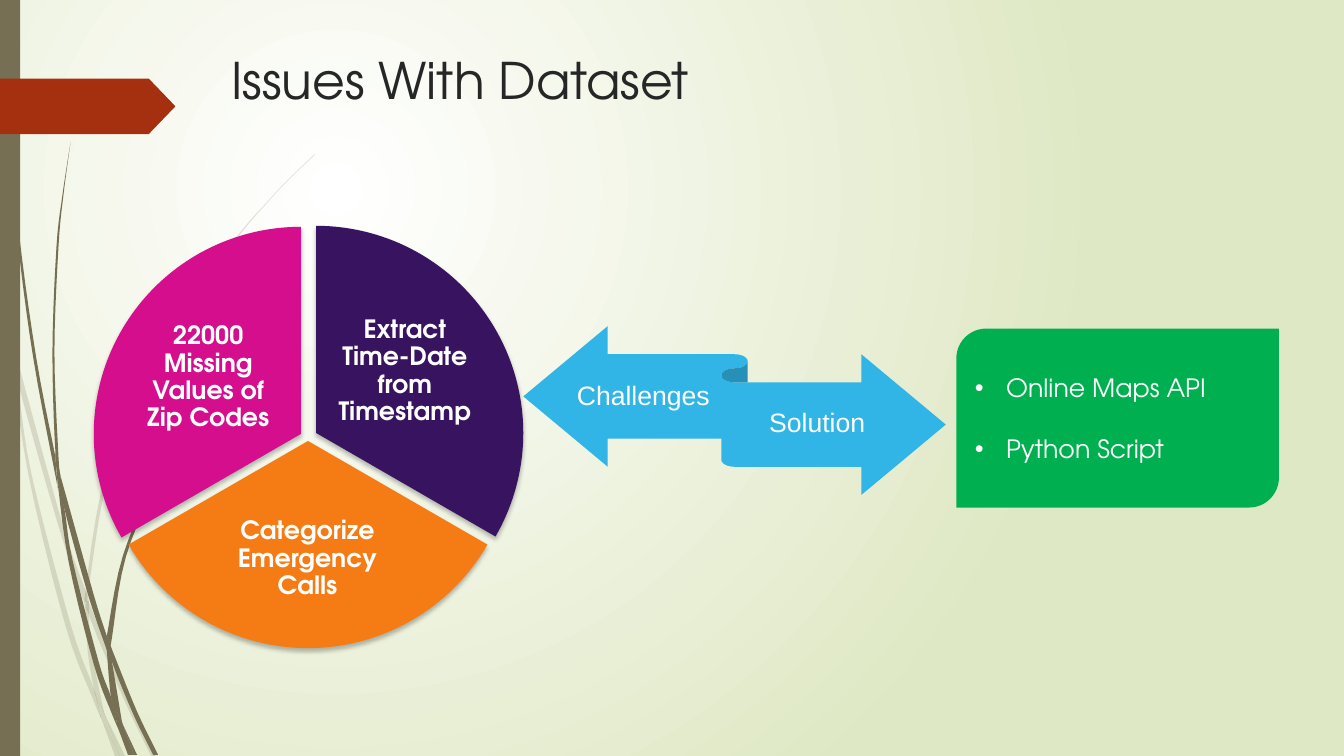
import dataclasses
import typing

import lxml.etree
import pptx
import pptx.dml.color
import pptx.enum.shapes
import pptx.enum.text
import pptx.oxml.ns
import pptx.util

KIND = pptx.enum.shapes.MSO_SHAPE
ALIGN = pptx.enum.text.PP_ALIGN
ANCHOR = pptx.enum.text.MSO_ANCHOR
qn = pptx.oxml.ns.qn
Pt = pptx.util.Pt

WIDE, HIGH = pptx.util.Inches(13.33), pptx.util.Inches(7.5)
COLS, ROWS = 133.3, 75
HEAD, PLAIN = "TeX Gyre Adventor", "Arial"
CENTRED = {"alignment": ALIGN.CENTER, "line_spacing": 0.9}
HEX = {
    "white": "FFFFFF", "sage": "DFE8C4", "olive": "766F54", "rust": "A53010",
    "ink": "262626", "plum": "381460", "orange": "F57C14", "pink": "D40E8C",
    "sky": "31B4E6", "green": "00B050",
}
Point = tuple[float, float]
Box = tuple[float, float, float, float]


@dataclasses.dataclass
class Blade:
    """A piece of grass between two edges, each running from top to bottom."""
    left: list[Point]
    right: list[Point]


@dataclasses.dataclass
class Slice:
    box: Box
    turn: tuple[int, int]
    fill: str
    words: str
    label: Box


FAINT = [
    Blade([(0, 29.9), (1, 34.4), (1.1, 35)], [(0, 28.2), (0.9, 32.2), (1.1, 35)]),
    Blade([(1.4, 34.5), (1.7, 37.6), (5.8, 52.2), (8.4, 59.9)],
          [(1.4, 34.5), (6.2, 52), (8.5, 58.6)]),
    Blade([(8.8, 59.6), (8.8, 61), (12.3, 69.4), (15, 75)],
          [(8.8, 59.6), (9.2, 60.7), (12.7, 69.2), (15.5, 75)]),
    Blade([(10.5, 71.1), (11.9, 75)], [(10.5, 71.1), (12.4, 75)]),
    Blade([(1.1, 35), (2.8, 47), (6.5, 62.1), (9.2, 69.3), (10.1, 71.4)],
          [(1.1, 35), (1.7, 37.6), (3.1, 46.9), (7, 61.9), (9.3, 68.3), (9.9, 70.7)]),
    Blade([(8.4, 59.9), (8.7, 64.6), (9.3, 68.3), (9.6, 69.2), (10.5, 71.1)],
          [(8.4, 59.9), (8.8, 60.8), (8.8, 61), (9.1, 64.6), (10.3, 70.6)]),
    Blade([(31.2, 15.3), (28.9, 17.5), (26.8, 19.7), (22.8, 24.4), (15.8, 34.8), (10.7, 46.1),
           (8.5, 58.4), (8.8, 59.6)],
          [(31.2, 15.4), (29, 17.5), (26.8, 19.8), (22.9, 24.5), (16, 34.9), (11, 46.2),
           (8.8, 58.4), (8.8, 59.6)]),
    Blade([(10.1, 71.4), (11.4, 75)], [(10.1, 71.4), (11.9, 75)]),
    Blade([(8.5, 58.6), (8.4, 59.9), (8.8, 60.8)], [(8.5, 58.6), (8.8, 59.6), (8.8, 61)]),
    Blade([(9.3, 68.3), (9.9, 70.7), (10.1, 71.4), (11.9, 75)],
          [(9.3, 68.3), (9.6, 69.2), (10.5, 71.1), (11.9, 75)]),
]
SOLID = [
    Blade([(0.3, 0), (0.4, 4.8), (0.7, 11), (1.7, 23.3), (3.3, 35.5), (5.6, 47.7), (5.7, 48.1)],
          [(0.4, 0), (0.5, 4.8), (0.8, 10.9), (1.9, 23.2), (3.6, 35.5), (5.5, 45.3)]),
    Blade([(6, 47.2), (6.4, 50.5), (8.8, 59.2), (10.6, 64.5)],
          [(6, 47.2), (9.3, 59), (10.6, 63.1)]),
    Blade([(11, 64.1), (11.1, 65.6), (13.2, 70.8), (15.2, 74.9)],
          [(11, 64.1), (11.3, 64.9), (13.6, 70.6), (15.7, 74.9)]),
    Blade([(5.7, 47.7), (6.8, 55.7), (9.3, 65.9), (11.1, 70.8), (11.7, 72.2)],
          [(5.7, 47.7), (6.4, 50.5), (7.2, 55.6), (9.8, 65.7), (11, 69.1), (11.6, 71.7)]),
    Blade([(7, 14.1), (6.2, 19.3), (5.6, 24.5), (5.2, 34.9), (5.5, 44.9), (6, 47.2)],
          [(7, 14.1), (6.3, 19.3), (5.8, 24.5), (5.4, 34.9), (5.8, 45.3), (6, 47.2)]),
    Blade([(12.2, 71.9), (13.3, 74.9)], [(12.2, 71.9), (13.6, 74.9)]),
    Blade([(5.5, 44.9), (5.5, 45.3), (5.7, 47.7)], [(5.5, 44.9), (6, 47.2), (6.4, 50.5)]),
    Blade([(26, 34.4), (23.1, 37.3), (20.4, 40.5), (15.6, 47.4), (12.2, 55.1), (10.6, 63.1)],
          [(26.1, 34.4), (23.1, 37.4), (20.5, 40.6), (15.8, 47.6), (12.5, 55.2), (11.1, 63.3),
           (11, 64.1)]),
    Blade([(11.7, 72.2), (12.7, 74.9)], [(11.7, 72.2), (13.1, 74.9)]),
    Blade([(10.6, 64.5), (11, 69.1), (11.6, 70.6), (12.2, 71.9)],
          [(10.6, 64.5), (10.9, 65.1), (11.1, 65.6), (12.1, 71.6)]),
    Blade([(10.6, 63.1), (10.6, 64.5), (10.9, 65.1)], [(10.6, 63.1), (11, 64.1), (11.1, 65.6)]),
    Blade([(11, 69.1), (11.6, 71.7), (11.7, 72.2), (13, 74.9)],
          [(11, 69.1), (11.6, 70.6), (12.2, 71.9), (13.3, 74.9)]),
]
SLICES = [
    Slice((10.8, 22.4, 41.1, 41.1), (162, 18), "plum",
          "Extract Time-Date from Timestamp", (33.2, 30, 13.9, 13.7)),
    Slice((10, 23.2, 41.1, 41.1), (18, 90), "orange",
          "Categorize Emergency Calls", (21.2, 49.1, 18.6, 12.7)),
    Slice((9.3, 22.5, 41.1, 41.1), (90, 162), "pink",
          "22000 Missing Values of Zip Codes", (13.7, 30.6, 13.9, 13.7)),
]
ARROWS = [("Challenges", (56.9, 35.3, 13.8, 8.2)), ("Solution", (72.9, 37.95, 16.3, 8.2))]
TOOLS = ["Online Maps API", "Python Script"]

deck = pptx.Presentation()
deck.slide_width, deck.slide_height = WIDE, HIGH
slide = deck.slides.add_slide(deck.slide_layouts[6])


def place(*cells: float) -> tuple[int, ...]:
    """Turn columns and rows, by turns, into slide lengths."""
    return tuple(round(cell * (HIGH / ROWS if index % 2 else WIDE / COLS))
                 for index, cell in enumerate(cells))


def style(item: typing.Any, form: dict[str, typing.Any]) -> None:
    for name, value in form.items():
        setattr(item, name, value)


def tint(color: typing.Any, name: str) -> None:
    color.rgb = pptx.dml.color.RGBColor.from_string(HEX[name])


def node(home: typing.Any, tag: str, **values: typing.Any) -> typing.Any:
    return lxml.etree.SubElement(home, qn(tag), {k: str(v) for k, v in values.items()})


def paint(shape: typing.Any, fill: str) -> typing.Any:
    shape.shadow.inherit = False
    shape.fill.solid()
    tint(shape.fill.fore_color, fill)
    shape.line.fill.background()
    return shape


def draw(kind: typing.Any, box: Box, fill: str) -> typing.Any:
    return paint(slide.shapes.add_shape(kind, *place(*box)), fill)


def write(para: typing.Any, words: str, font: dict[str, typing.Any],
          form: dict[str, typing.Any], ink: str = "white") -> None:
    run = para.add_run()
    run.text = words
    style(run.font, font)
    tint(run.font.color, ink)
    style(para, form)


def label(words: str, box: Box, frame: dict[str, typing.Any], font: dict[str, typing.Any],
          form: dict[str, typing.Any], ink: str = "white") -> None:
    text = slide.shapes.add_textbox(*place(*box)).text_frame
    style(text, {"word_wrap": True, **frame})
    write(text.paragraphs[0], words, font, form, ink)


def smooth(edge: list[Point], steps: int = 5) -> list[Point]:
    """Round an edge with a Catmull-Rom curve through its points."""
    ends = [edge[0], *edge, edge[-1]]
    curve = [tuple(q + t * (r - p) / 2 + t**2 * (2 * p - 5 * q + 4 * r - s) / 2
                   + t**3 * (3 * q - p - 3 * r + s) / 2 for p, q, r, s in zip(*four))
             for four in zip(ends, ends[1:], ends[2:], ends[3:])
             for t in (step / steps for step in range(steps))]
    return [*curve, edge[-1]]


def grow(blade: Blade, alpha: int) -> None:
    dots = [place(*dot) for dot in smooth(blade.left) + smooth(blade.right)[::-1]]
    form = slide.shapes.build_freeform(*dots[0])
    form.add_line_segments(dots[1:])
    shape = paint(form.convert_to_shape(), "olive")
    node(shape.element.find(".//" + qn("a:srgbClr")), "a:alpha", val=alpha * 1000)


def cut(part: Slice) -> None:
    """Draw one pie slice with its shadow and label."""
    pie = draw(KIND.PIE, part.box, part.fill)
    for index, turn in enumerate(part.turn):
        pie.adjustments[index] = turn
    shade = node(pie.element.find(".//" + qn("a:effectLst")), "a:outerShdw",
                 blurRad=Pt(3), dist=Pt(2), dir=5400000, rotWithShape=0)
    node(node(shade, "a:srgbClr", val="000000"), "a:alpha", val=25000)
    gaps = {f"margin_{side}": Pt(2) for side in ("left", "right", "top", "bottom")}
    label(part.words, part.label, {"vertical_anchor": ANCHOR.MIDDLE, **gaps},
          {"name": HEAD, "size": Pt(18), "bold": True}, CENTRED)


def light() -> None:
    """Give the slide its round gradient."""
    fill = slide.background.fill
    fill.gradient()
    for stop, name, where in zip(fill.gradient_stops, ("white", "sage"), (0, 1)):
        tint(stop.color, name)
        stop.position = where
    grad = slide.element.find(".//" + qn("a:gradFill"))
    grad.remove(grad.find(qn("a:lin")))
    node(node(grad, "a:path", path="circle"), "a:fillToRect", l=50000, t=50000, r=100000, b=100000)


light()
for blades, alpha in ((FAINT, 20), (SOLID, 100)):
    for blade in blades:
        grow(blade, alpha)
draw(KIND.RECTANGLE, (0, 0, 2, ROWS), "olive")
draw(KIND.PENTAGON, (0, 7.8, 17.4, 5.5), "rust").adjustments[0] = 0.48
label("Issues With Dataset", (21.94, 4.4, 97.5, 14), {}, {"name": HEAD, "size": Pt(36)}, {}, "ink")
for part in SLICES:
    cut(part)
draw(KIND.LEFT_RIGHT_RIBBON, (51.9, 32.35, 41.9, 16.75), "sky")
for words, box in ARROWS:
    label(words, box, {"vertical_anchor": ANCHOR.MIDDLE, "margin_left": 0, "margin_right": 0},
          {"name": PLAIN, "size": Pt(19)}, CENTRED)
card = draw(KIND.ROUND_2_DIAG_RECTANGLE, (94.85, 32.6, 32, 17.75), "green").text_frame
style(card, {"word_wrap": True, "vertical_anchor": ANCHOR.MIDDLE})
for index, tool in enumerate(TOOLS):
    para = card.add_paragraph() if index else card.paragraphs[0]
    write(para, tool, {"name": HEAD, "size": Pt(18)},
          {"alignment": ALIGN.LEFT, "space_before": Pt(22 * index)})
    props = para._p.get_or_add_pPr()
    for name, inset in (("marL", 0.31), ("indent", -0.31)):
        props.set(name, str(pptx.util.Inches(inset)))
    node(props, "a:buFont", typeface=PLAIN)
    node(props, "a:buChar", char="•")
deck.save("out.pptx")
